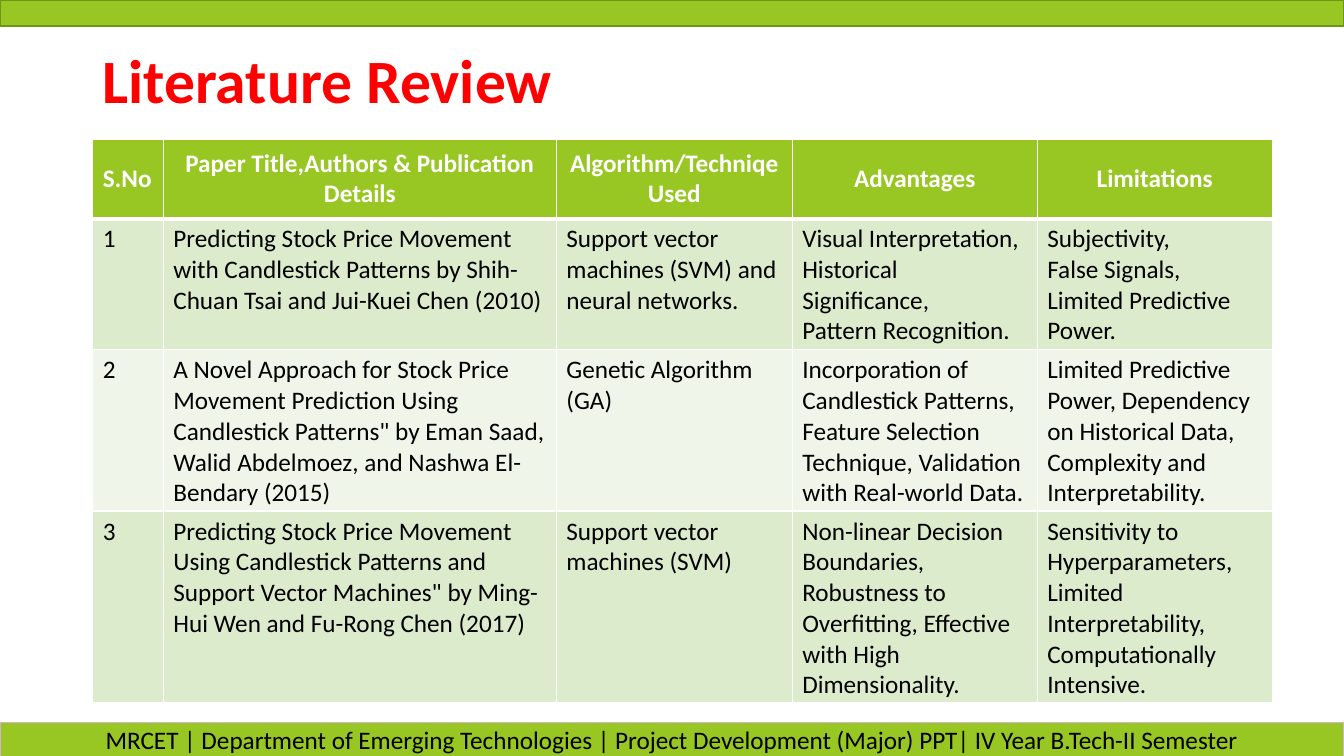
from lxml import etree
from pptx import Presentation
from pptx.dml.color import RGBColor
from pptx.enum.shapes import MSO_SHAPE
from pptx.enum.text import MSO_ANCHOR, PP_ALIGN
from pptx.oxml.ns import qn
from pptx.util import Inches, Pt

RECTANGLE = MSO_SHAPE.RECTANGLE
TOP, MIDDLE = MSO_ANCHOR.TOP, MSO_ANCHOR.MIDDLE
LEFT, CENTER = PP_ALIGN.LEFT, PP_ALIGN.CENTER

COLORS = {
    "green": "98C723",
    "dark green": "70931A",
    "pink": "D4B0D2",
    "red": "FF0000",
    "white": "FFFFFF",
    "black": "000000",
    "odd row": "DDEBCD",
    "even row": "EFF5E8",
}

COLUMN_SHARES = [5.25, 29.25, 17.55, 18.23, 17.48]
ROW_SHARES = [10.53, 17.33, 21.33, 25.33]

FOOTER = (
    "MRCET | Department of Emerging Technologies | "
    "Project Development (Major) PPT| IV Year B.Tech-II Semester"
)

REVIEW = [
    [
        "S.No",
        "Paper Title,Authors & Publication\nDetails",
        "Algorithm/Techniqe\nUsed",
        "Advantages",
        "Limitations",
    ],
    [
        "1",
        "Predicting Stock Price Movement with Candlestick Patterns "
        "by Shih-Chuan Tsai and Jui-Kuei Chen (2010)",
        "Support vector machines (SVM) and neural networks.",
        "Visual Interpretation,\nHistorical Significance,\nPattern Recognition.",
        "Subjectivity,\nFalse Signals,\nLimited Predictive Power.",
    ],
    [
        "2",
        "A Novel Approach for Stock Price Movement Prediction Using Candlestick "
        'Patterns" by Eman Saad, Walid Abdelmoez, and Nashwa El-Bendary (2015)',
        "Genetic Algorithm (GA)",
        "Incorporation of Candlestick Patterns,\n"
        "Feature Selection Technique, Validation with Real-world Data.",
        "Limited Predictive Power, Dependency on Historical Data,\n"
        "Complexity and Interpretability.",
    ],
    [
        "3",
        "Predicting Stock Price Movement Using Candlestick Patterns and "
        'Support Vector Machines" by Ming-Hui Wen and Fu-Rong Chen (2017)',
        "Support vector machines (SVM)",
        "Non-linear Decision Boundaries, Robustness to Overfitting, "
        "Effective with High Dimensionality.",
        "Sensitivity to Hyperparameters,\nLimited Interpretability,\n"
        "Computationally Intensive.",
    ],
]


class SlideBuilder:
    font_name = "Calibri"
    body_size = 18

    def __init__(self, deck):
        self.deck = deck
        self.page = deck.slides.add_slide(deck.slide_layouts[6])

    def across(self, share):
        return round(self.deck.slide_width * share / 100)

    def down(self, share):
        return round(self.deck.slide_height * share / 100)

    def area(self, left, top, width, height):
        return self.across(left), self.down(top), self.across(width), self.down(height)

    def color(self, name):
        return RGBColor.from_string(COLORS[name])

    def add_text(self, frame, text, color, size=body_size, bold=False, align=LEFT, spacing=1.0):
        font_format = {"name": self.font_name, "size": Pt(size), "bold": bold}
        for index, line in enumerate(text.split("\n")):
            para = frame.paragraphs[0] if index == 0 else frame.add_paragraph()
            para.alignment = align
            para.line_spacing = spacing
            span = para.add_run()
            span.text = line
            for attribute, value in font_format.items():
                setattr(span.font, attribute, value)
            span.font.color.rgb = self.color(color)

    def bar(self, top, height, outline, text=""):
        box = self.page.shapes.add_shape(RECTANGLE, *self.area(0, top, 100, height))
        box.shadow.inherit = False
        box.fill.solid()
        box.fill.fore_color.rgb = self.color("green")
        box.line.color.rgb = self.color(outline)
        box.line.width = Pt(1)
        if text:
            box.text_frame.vertical_anchor = MIDDLE
            self.add_text(box.text_frame, text, "black", align=CENTER)

    def title(self, text, *place):
        frame = self.page.shapes.add_textbox(*self.area(*place)).text_frame
        frame.word_wrap = True
        frame.vertical_anchor = MIDDLE
        self.add_text(frame, text, "red", size=44, bold=True, spacing=0.9)

    def borders(self, cell, widths):
        properties = cell._tc.get_or_add_tcPr()
        for side, width in widths.items():
            line = etree.SubElement(properties, qn(f"a:ln{side}"), w=str(Pt(width)))
            fill = etree.SubElement(line, qn("a:solidFill"))
            etree.SubElement(fill, qn("a:srgbClr"), val=COLORS["white"])

    def table(self, left, top, rows, column_shares, row_shares):
        place = self.area(left, top, sum(column_shares), sum(row_shares))
        table = self.page.shapes.add_table(len(rows), len(column_shares), *place).table
        for column, share in zip(table.columns, column_shares):
            column.width = self.across(share)
        for row, share in zip(table.rows, row_shares):
            row.height = self.down(share)
        for number, texts in enumerate(rows):
            header = number == 0
            fill = "green" if header else "odd row" if number % 2 else "even row"
            widths = {"L": 1, "R": 1, "T": 3 if number == 1 else 1, "B": 3 if header else 1}
            for position, text in enumerate(texts):
                cell = table.cell(number, position)
                self.borders(cell, widths)
                cell.fill.solid()
                cell.fill.fore_color.rgb = self.color(fill)
                cell.vertical_anchor = MIDDLE if header else TOP
                self.add_text(
                    cell.text_frame,
                    text,
                    "white" if header else "black",
                    bold=header,
                    align=CENTER if header and position else LEFT,
                )


def main():
    deck = Presentation()
    deck.slide_width, deck.slide_height = Inches(13.33), Inches(7.5)
    slide = SlideBuilder(deck)
    slide.bar(0, 3.47, "dark green")
    slide.bar(95.6, 4.53, "pink", FOOTER)
    slide.title("Literature Review", 6.9, 5.33, 86.27, 11.33)
    slide.table(6.9, 18.4, REVIEW, COLUMN_SHARES, ROW_SHARES)
    deck.save("out.pptx")


if __name__ == "__main__":
    main()
